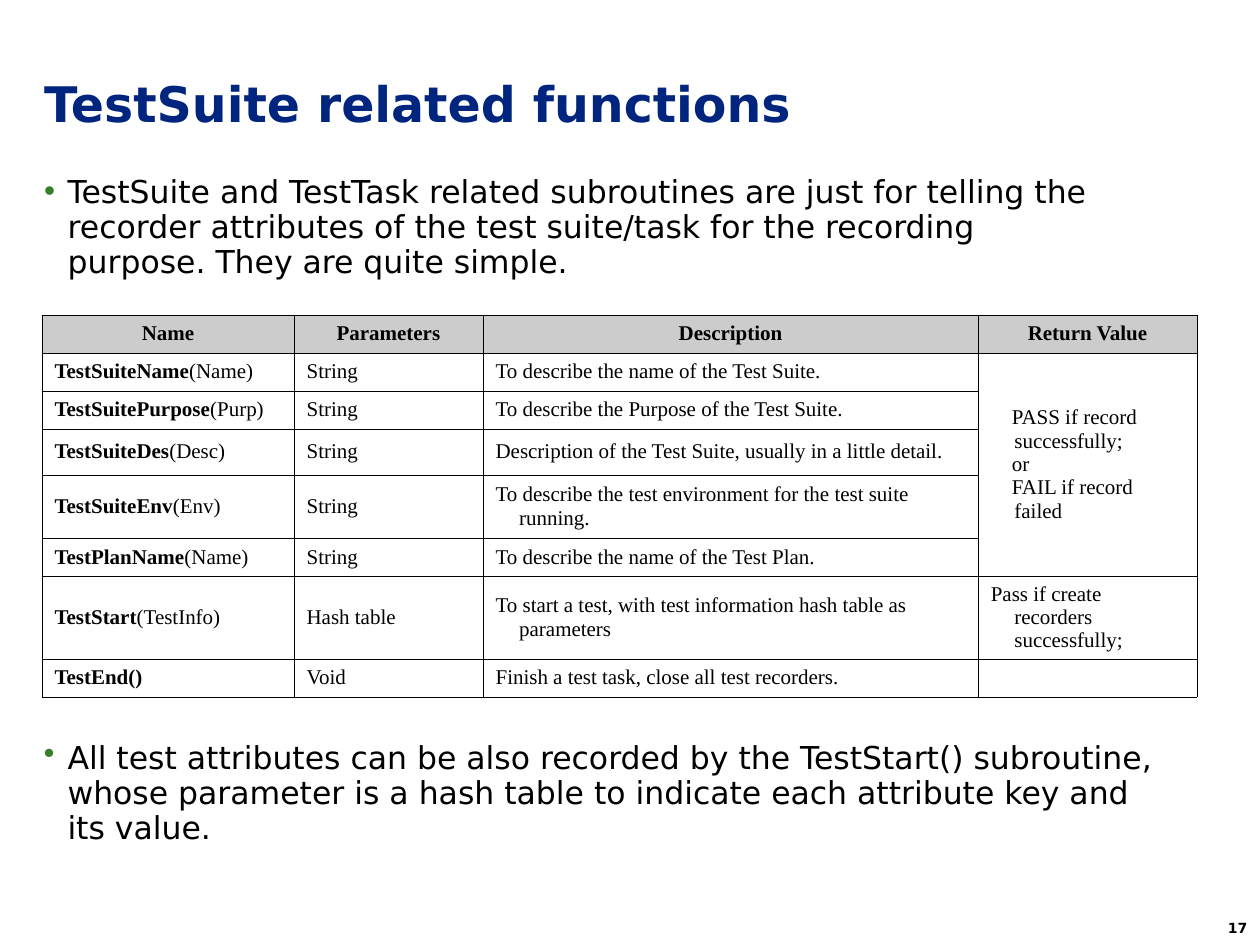
"""Build the slide on TestSuite related functions."""
import pptx
import pptx.dml.color
import pptx.enum.text
import pptx.oxml.ns
import pptx.util
from lxml import etree

Pt = pptx.util.Pt
RGB = pptx.dml.color.RGBColor
ALIGN = pptx.enum.text.PP_ALIGN
ANCHOR = pptx.enum.text.MSO_ANCHOR
qn = pptx.oxml.ns.qn

BLACK = RGB(0x00, 0x00, 0x00)
NAVY = RGB(0x00, 0x25, 0x7E)
GREEN = RGB(0x38, 0x7E, 0x29)
GRAY = RGB(0xCC, 0xCC, 0xCC)

COLS = [144, 108, 283, 125]
ROWS = [21.7, 21.7, 21.7, 26.2, 36.3, 21.7, 36.3, 21.7]
HEADER = ["Name", "Parameters", "Description", "Return Value"]
FUNCTIONS = [
    ("TestSuiteName", "(Name)", "String", "To describe the name of the Test Suite."),
    ("TestSuitePurpose", "(Purp)", "String", "To describe the Purpose of the Test Suite."),
    ("TestSuiteDes", "(Desc)", "String",
     "Description of the Test Suite, usually in a little detail."),
    ("TestSuiteEnv", "(Env)", "String",
     "To describe the test environment for the test suite running."),
    ("TestPlanName", "(Name)", "String", "To describe the name of the Test Plan."),
    ("TestStart", "(TestInfo)", "Hash table",
     "To start a test, with test information hash table as parameters"),
    ("TestEnd()", "", "Void", "Finish a test task, close all test recorders."),
]
RESULTS = ["PASS if record successfully;", "or", "FAIL if record failed"]


def write(p, text, size=12, font="Times New Roman", color=BLACK, bold=False,
          align=ALIGN.LEFT, margin=0, indent=0):
    p.alignment = align
    pPr = p._p.get_or_add_pPr()
    pPr.set("marL", str(Pt(margin)))
    pPr.set("indent", str(Pt(indent)))
    r = p.add_run()
    r.text = text
    r.font.size, r.font.name, r.font.bold = Pt(size), font, bold
    r.font.color.rgb = color


class Deck:
    def __init__(self, font="DejaVu Sans", hang=13.5):
        self.font, self.hang = font, hang
        self.prs = pptx.Presentation()
        self.prs.slide_width, self.prs.slide_height = Pt(720), Pt(540)
        self.s = self.prs.slides.add_slide(self.prs.slide_layouts[1])

    def place(self, sp, x, y, w, h, anchor=ANCHOR.TOP):
        sp.left, sp.top, sp.width, sp.height = Pt(x), Pt(y), Pt(w), Pt(h)
        tf = sp.text_frame
        tf.word_wrap = True
        tf.auto_size = pptx.enum.text.MSO_AUTO_SIZE.NONE
        tf.vertical_anchor = anchor
        return tf.paragraphs[0]

    def title(self, text, *box):
        p = self.place(self.s.shapes.title, *box, anchor=ANCHOR.MIDDLE)
        write(p, text, size=28, font=self.font, color=NAVY, bold=True)

    def textbox(self):
        return self.s.shapes.add_textbox(0, 0, 0, 0)

    def bullet(self, sp, text, *box):
        p = self.place(sp, *box)
        p.line_spacing, p.space_before, p.space_after = Pt(20), Pt(0), Pt(4)
        pPr = p._p.get_or_add_pPr()
        clr = etree.SubElement(pPr, qn("a:buClr"))
        etree.SubElement(clr, qn("a:srgbClr"), val=str(GREEN))
        etree.SubElement(pPr, qn("a:buChar"), char="•")
        write(p, text, size=18, font=self.font, margin=self.hang, indent=-self.hang)

    def number(self, text, *box):
        write(self.place(self.textbox(), *box), text, size=8, font=self.font,
              bold=True, align=ALIGN.RIGHT)

    def cell_text(self, p, text, **fmt):
        write(p, text, **{"margin": self.hang, "indent": -self.hang, **fmt})

    def borders(self, cell, outer):
        tcPr = cell._tc.get_or_add_tcPr()
        for side in "LRTB":
            width = 0.45 if side in outer else 0.06
            ln = etree.SubElement(tcPr, qn("a:ln" + side), w=str(Pt(width)))
            fill = etree.SubElement(ln, qn("a:solidFill"))
            etree.SubElement(fill, qn("a:srgbClr"), val=str(BLACK))

    def table(self, x, y):
        shape = self.s.shapes.add_table(len(ROWS), len(COLS), Pt(x), Pt(y),
                                        Pt(sum(COLS)), Pt(sum(ROWS)))
        t = shape.table
        for col, width in zip(t.columns, COLS):
            col.width = Pt(width)
        for row, height in zip(t.rows, ROWS):
            row.height = Pt(height)
        t.cell(1, 3).merge(t.cell(5, 3))
        for i in range(len(ROWS)):
            for j in range(len(COLS)):
                cell = t.cell(i, j)
                edges = {"L": j == 0, "R": j == len(COLS) - 1,
                         "T": i == 0, "B": i == len(ROWS) - 1}
                if not cell.is_spanned:
                    self.borders(cell, [side for side in edges if edges[side]])
                cell.vertical_anchor = ANCHOR.MIDDLE if i else ANCHOR.TOP
                if i:
                    cell.fill.background()
                else:
                    cell.fill.solid()
                    cell.fill.fore_color.rgb = GRAY
        for j, text in enumerate(HEADER):
            self.cell_text(t.cell(0, j).text_frame.paragraphs[0], text,
                           bold=True, align=ALIGN.CENTER)
        for i, (name, args, kind, description) in enumerate(FUNCTIONS, 1):
            first, second, third = [t.cell(i, j).text_frame.paragraphs[0] for j in range(3)]
            self.cell_text(first, name, bold=True)
            if args:
                self.cell_text(first, args)
            self.cell_text(second, kind)
            self.cell_text(third, description)
        tf = t.cell(1, 3).text_frame
        for k, text in enumerate(RESULTS):
            p = tf.add_paragraph() if k else tf.paragraphs[0]
            self.cell_text(p, text, indent=-1.5)
        self.cell_text(t.cell(6, 3).text_frame.paragraphs[0],
                       "Pass if create recorders successfully;")
        last = t.cell(7, 3).text_frame.paragraphs[0]
        etree.SubElement(last._p, qn("a:endParaRPr"), sz="1200")


def main():
    deck = Deck()
    deck.title("TestSuite related functions", 18, 36, 684, 46)
    deck.bullet(deck.s.placeholders[1],
                "TestSuite and TestTask related subroutines are just for telling the recorder "
                "attributes of the test suite/task for the recording purpose. "
                "They are quite simple.", 18, 96, 618, 72)
    deck.table(24, 180)
    deck.bullet(deck.textbox(),
                "All test attributes can be also recorded by the TestStart() subroutine, "
                "whose parameter is a hash table to indicate each attribute key and its value.",
                18, 420, 660, 72)
    deck.number("17", 673, 522, 47, 18)
    deck.prs.save("out.pptx")


if __name__ == "__main__":
    main()
